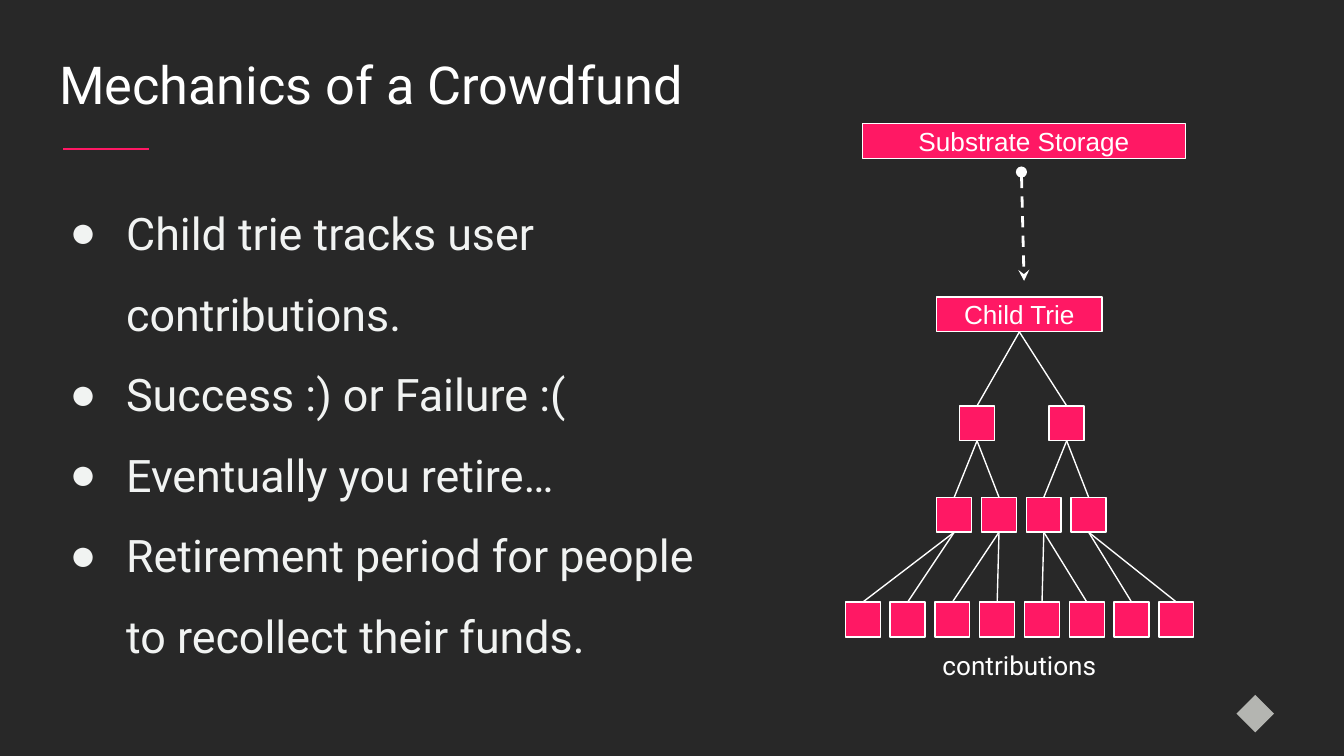
from dataclasses import dataclass

from lxml.etree import SubElement
from pptx import Presentation
from pptx.dml.color import RGBColor
from pptx.enum.dml import MSO_LINE
from pptx.enum.shapes import MSO_CONNECTOR, MSO_SHAPE as SHAPE
from pptx.enum.text import MSO_ANCHOR as ANCHOR, MSO_AUTO_SIZE, PP_ALIGN as ALIGN
from pptx.oxml.ns import qn
from pptx.util import Inches, Pt

TITLE_ONLY = 5
TOP, BOTTOM = 0, 2


@dataclass(frozen=True)
class Theme:
    background: str = "282828"
    accent: str = "FF1864"
    white: str = "FFFFFF"
    body: str = "F1F3F2"
    mark: str = "B4B5B1"
    text_font: str = "Roboto"
    box_font: str = "Arial"
    bullet_font: str = "Arial"
    title_size: int = 28
    body_size: int = 24
    label_size: int = 14
    thin: float = 0.75
    thick: float = 1.5


def rgb(value):
    return RGBColor.from_string(value)


class SlideBuilder:
    def __init__(self, prs, theme):
        self.theme = theme
        self.slide = prs.slides.add_slide(prs.slide_layouts[TITLE_ONLY])
        fill = self.slide.background.fill
        fill.solid()
        fill.fore_color.rgb = rgb(theme.background)

    def _frame(self, sp, anchor=ANCHOR.TOP):
        tf = sp.text_frame
        tf.word_wrap = True
        tf.auto_size = MSO_AUTO_SIZE.NONE
        tf.vertical_anchor = anchor
        tf.margin_left = tf.margin_right = Inches(0.1)
        tf.margin_top = tf.margin_bottom = Inches(0.1)
        return tf

    def _format(self, p, size, font, color, align=ALIGN.LEFT):
        p.alignment = align
        for r in p.runs:
            r.font.size = Pt(size)
            r.font.name = font
            r.font.color.rgb = rgb(color)

    def title(self, text, x, y, w, h):
        sp = self.slide.shapes.title
        sp.left, sp.top, sp.width, sp.height = map(Inches, (x, y, w, h))
        tf = self._frame(sp)
        tf.text = text
        self._format(tf.paragraphs[0], self.theme.title_size,
                     self.theme.text_font, self.theme.white)

    def bullets(self, items, x, y, w, h):
        t = self.theme
        sp = self.slide.shapes.add_textbox(*map(Inches, (x, y, w, h)))
        tf = self._frame(sp)
        for i, item in enumerate(items):
            p = tf.paragraphs[0] if i == 0 else tf.add_paragraph()
            p.text = item
            p.line_spacing = 1.5
            pPr = p._p.get_or_add_pPr()
            pPr.set("marL", str(Inches(0.5)))
            pPr.set("indent", str(Inches(-0.42)))
            color = SubElement(pPr, qn("a:buClr"))
            SubElement(color, qn("a:srgbClr"), val=t.body)
            SubElement(pPr, qn("a:buFont"), typeface=t.bullet_font)
            SubElement(pPr, qn("a:buChar"), char="●")
            self._format(p, t.body_size, t.text_font, t.body)

    def caption(self, text, x, y, w, h):
        sp = self.slide.shapes.add_textbox(*map(Inches, (x, y, w, h)))
        tf = self._frame(sp)
        tf.text = text
        self._format(tf.paragraphs[0], self.theme.label_size,
                     self.theme.text_font, self.theme.white, ALIGN.CENTER)

    def box(self, x, y, w, h, text=""):
        t = self.theme
        sp = self.slide.shapes.add_shape(SHAPE.RECTANGLE, *map(Inches, (x, y, w, h)))
        sp.shadow.inherit = False
        sp.fill.solid()
        sp.fill.fore_color.rgb = rgb(t.accent)
        sp.line.color.rgb = rgb(t.white)
        sp.line.width = Pt(t.thin)
        if text:
            tf = self._frame(sp, ANCHOR.MIDDLE)
            tf.text = text
            self._format(tf.paragraphs[0], t.label_size, t.box_font, t.white, ALIGN.CENTER)
        return sp

    def mark(self, x, y, w, h):
        sp = self.slide.shapes.add_shape(SHAPE.DIAMOND, *map(Inches, (x, y, w, h)))
        sp.shadow.inherit = False
        sp.fill.solid()
        sp.fill.fore_color.rgb = rgb(self.theme.mark)
        sp.line.fill.background()

    def line(self, start=(0, 0), end=(0, 0), color=None, width=None):
        ends = map(Inches, (*start, *end))
        cxn = self.slide.shapes.add_connector(MSO_CONNECTOR.STRAIGHT, *ends)
        cxn.line.color.rgb = rgb(color or self.theme.white)
        cxn.line.width = Pt(width or self.theme.thin)
        SubElement(cxn._element.spPr, qn("a:effectLst"))
        return cxn

    def branch(self, child, parent):
        cxn = self.line()
        cxn.begin_connect(child, TOP)
        cxn.end_connect(parent, BOTTOM)

    def dashed_arrow(self, start, end):
        cxn = self.line(start, end, width=self.theme.thick)
        cxn.line.dash_style = MSO_LINE.DASH
        ln = cxn.line._get_or_add_ln()
        SubElement(ln, qn("a:headEnd"), type="oval")
        SubElement(ln, qn("a:tailEnd"), type="stealth")

    def tree(self, root, levels, node, gap):
        """Draw a binary tree; each level is (left, top, step in gaps)."""
        parents = [root]
        for depth, (left, top, step) in enumerate(levels, 1):
            nodes = [self.box(left + i * step * gap, top, node, node)
                     for i in range(2 ** depth)]
            for i, child in enumerate(nodes):
                self.branch(child, parents[i // 2])
            parents = nodes


def main():
    prs = Presentation()
    prs.slide_width = Inches(10)
    prs.slide_height = prs.slide_width * 9 // 16
    theme = Theme()
    s = SlideBuilder(prs, theme)

    s.line((0.47, 1.11), (1.11, 1.11), color=theme.accent)
    s.mark(9.2, 5.17, 0.28, 0.28)
    s.title("Mechanics of a Crowdfund", 0.34, 0.29, 9.32, 0.63)
    s.bullets([
        "Child trie tracks user contributions.",
        "Success :) or Failure :(",
        "Eventually you retire…",
        "Retirement period for people to recollect their funds.",
    ], 0.34, 1.23, 5.08, 3.74)

    node = 0.26
    s.box(6.42, 0.92, 2.4, node, "Substrate Storage")
    s.dashed_arrow((7.6, 1.28), (7.62, 2.09))
    child_trie = s.box(6.97, 2.21, 1.23, node, "Child Trie")
    levels = [(7.14, 3.02, 2), (6.97, 3.7, 1), (6.29, 4.48, 1)]
    s.tree(child_trie, levels, node, gap=1 / 3)
    s.caption("contributions", 6.29, 4.73, 2.59, 0.47)

    prs.save("out.pptx")


if __name__ == "__main__":
    main()
